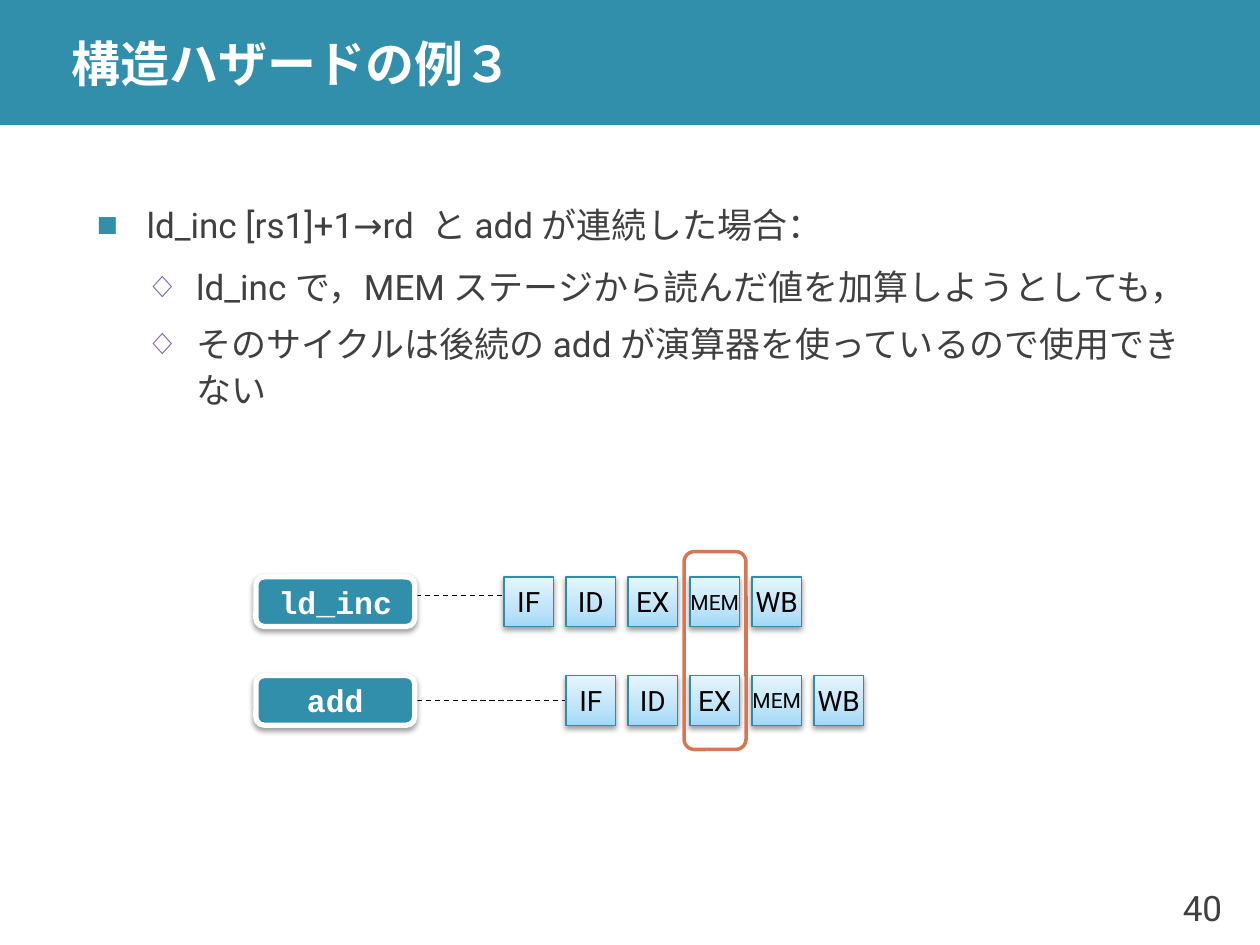
"""Build the slide on a structural hazard between ld_inc and add."""
from lxml import etree
from pptx import Presentation, util as u
from pptx.dml.color import RGBColor
from pptx.enum import dml, shapes, text
from pptx.oxml import ns, parse_xml

TITLE = "構造ハザードの例３"
NOTES = [
    (0, "ld_inc [rs1]+1→rd  と add が連続した場合："),
    (1, "ld_inc で，MEM ステージから読んだ値を加算しようとしても，"),
    (1, "そのサイクルは後続の add が演算器を使っているので使用できない"),
]
LEVELS = [
    {"mark": "■", "tint": "328FAC", "size": 100, "left": 1, "top": 24, "end": 6},
    {"mark": "◇", "tint": "8064A2", "size": 90, "left": 2, "top": 3, "end": 3},
]
STAGES = ["IF", "ID", "EX", "MEM", "WB"]
ROWS = [
    {"name": "ld_inc", "start": 0, "wire": (8.2, 10.2, 12.01)},
    {"name": "add", "start": 1, "wire": (8.41, 11.4, 14.12)},
]
GRADE = [(0, "A2D9F7"), (35, "BFE4F8"), (100, "E6F5FD")]
TEAL, GREY, WHITE, BLACK = "328FAC", "404040", "FFFFFF", "000000"
LEFT, TOP, STEP, PITCH, SIDE = 10.16, 11.63, 1.25, 1.99, 1


def paint(item, code):
    item.rgb = RGBColor.from_string(code)


def place(shape, *box):
    shape.left, shape.top, shape.width, shape.height = map(u.Cm, box)


def write(para, words, size, code, font="Roboto", bold=False):
    run = para.add_run()
    run.text = words
    run.font.size, run.font.name, run.font.bold = u.Pt(size), font, bold
    paint(run.font.color, code)


def setup(shape, wrap=False):
    frame = shape.text_frame
    frame.word_wrap = wrap
    frame.auto_size = text.MSO_AUTO_SIZE.NONE
    frame.vertical_anchor = text.MSO_ANCHOR.MIDDLE
    return frame


def draw(tree, kind, box, fill, edge, width):
    shape = tree.add_shape(kind, *map(u.Cm, box))
    shape.shadow.inherit = False
    if fill:
        shape.fill.solid()
        paint(shape.fill.fore_color, fill)
    else:
        shape.fill.background()
    if edge:
        paint(shape.line.color, edge)
        shape.line.width = u.Pt(width)
    else:
        shape.line.fill.background()
    return shape


def label(shape, words, size, code, **style):
    para = setup(shape).paragraphs[0]
    para.alignment = text.PP_ALIGN.CENTER
    write(para, words, size, code, **style)


def shade(shape):
    glow = shape._element.spPr.find(ns.qn("a:effectLst"))
    glow.append(parse_xml(
        f'<a:outerShdw {ns.nsdecls("a")} blurRad="40000" dist="20000" dir="5400000"'
        ' rotWithShape="0"><a:srgbClr val="000000"><a:alpha val="38000"/>'
        '</a:srgbClr></a:outerShdw>'))


def blend(shape):
    stops = "".join(f'<a:gs pos="{pos * 1000}"><a:srgbClr val="{code}"/></a:gs>'
                    for pos, code in GRADE)
    shape.fill.background()
    props = shape._element.spPr
    props.replace(props.find(ns.qn("a:noFill")), parse_xml(
        f'<a:gradFill {ns.nsdecls("a")} rotWithShape="1"><a:gsLst>{stops}</a:gsLst>'
        '<a:lin ang="16200000" scaled="0"/></a:gradFill>'))


def bullet(para, mark, tint, size, left, top, end):
    para.line_spacing = 1.1
    para.space_before, para.space_after = u.Pt(top), u.Pt(end)
    props = para._p.get_or_add_pPr()
    props.set("marL", str(u.Cm(left)))
    props.set("indent", str(u.Cm(-1)))
    hue = etree.SubElement(props, ns.qn("a:buClr"))
    etree.SubElement(hue, ns.qn("a:srgbClr"), val=tint)
    etree.SubElement(props, ns.qn("a:buSzPct"), val=str(size * 1000))
    etree.SubElement(props, ns.qn("a:buChar"), char=mark)


def wire(tree, start, end, y):
    line = tree.add_connector(shapes.MSO_CONNECTOR.STRAIGHT,
                              u.Cm(start), u.Cm(y), u.Cm(end), u.Cm(y))
    paint(line.line.color, BLACK)
    line.line.width = u.Pt(0.75)
    line.line.dash_style = dml.MSO_LINE.DASH
    etree.SubElement(line._element.spPr, ns.qn("a:effectLst"))


def head(slide):
    tree, kind = slide.shapes, shapes.MSO_SHAPE
    band = draw(tree, kind.RECTANGLE, (0, 0, 25.4, 2.52), TEAL, None, 0)
    tree._spTree.insert(2, band._element)
    place(tree.title, 1.19, 0, 24.21, 2.52)
    frame = setup(tree.title, True)
    frame.margin_top = frame.margin_bottom = 0
    para = frame.paragraphs[0]
    para.alignment = text.PP_ALIGN.LEFT
    write(para, TITLE, 28, WHITE, bold=True)
    page = tree.add_textbox(*map(u.Cm, (23.19, 17.53, 1.7, 1.52)))
    para = setup(page).paragraphs[0]
    para.alignment = text.PP_ALIGN.RIGHT
    write(para, "40", 20, GREY)


def body(slide):
    hold = slide.placeholders[1]
    place(hold, 1.7, 3.02, 23.01, 6.25)
    frame = setup(hold, True)
    for num, (level, words) in enumerate(NOTES):
        para = frame.add_paragraph() if num else frame.paragraphs[0]
        para.level = level
        bullet(para, **LEVELS[level])
        write(para, words, 20, GREY)


def chart(slide):
    tree, kind = slide.shapes, shapes.MSO_SHAPE
    for num, row in enumerate(ROWS):
        y = TOP + num * PITCH
        wire(tree, *row["wire"])
        tag = draw(tree, kind.ROUNDED_RECTANGLE, (5.16, y, 3.2, SIDE), TEAL, WHITE, 3)
        shade(tag)
        label(tag, row["name"], 18, WHITE, font="Courier New", bold=True)
        group = tree.add_group_shape()
        for col, stage in enumerate(STAGES, row["start"]):
            box = (LEFT + col * STEP, y, SIDE, SIDE)
            cell = draw(group.shapes, kind.RECTANGLE, box, None, "2E8DAB", 0.75)
            blend(cell)
            shade(cell)
            label(cell, stage, 12 if stage == "MEM" else 16, BLACK)
    draw(tree, kind.ROUNDED_RECTANGLE, (13.79, 11.12, STEP, 3.99), None, "D87552", 2)


def main():
    deck = Presentation()
    deck.slide_width, deck.slide_height = u.Cm(25.4), u.Cm(19.05)
    slide = deck.slides.add_slide(deck.slide_layouts[1])
    head(slide)
    body(slide)
    chart(slide)
    deck.save("out.pptx")


if __name__ == "__main__":
    main()
